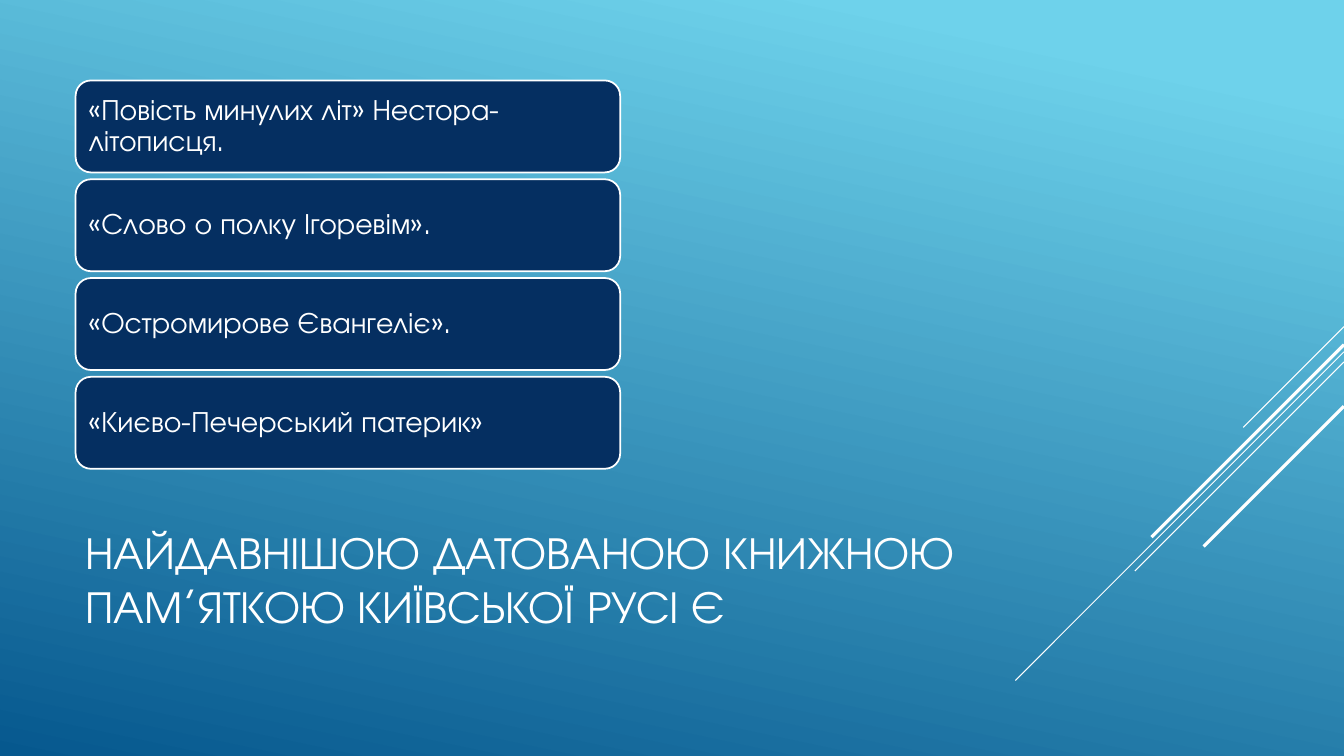
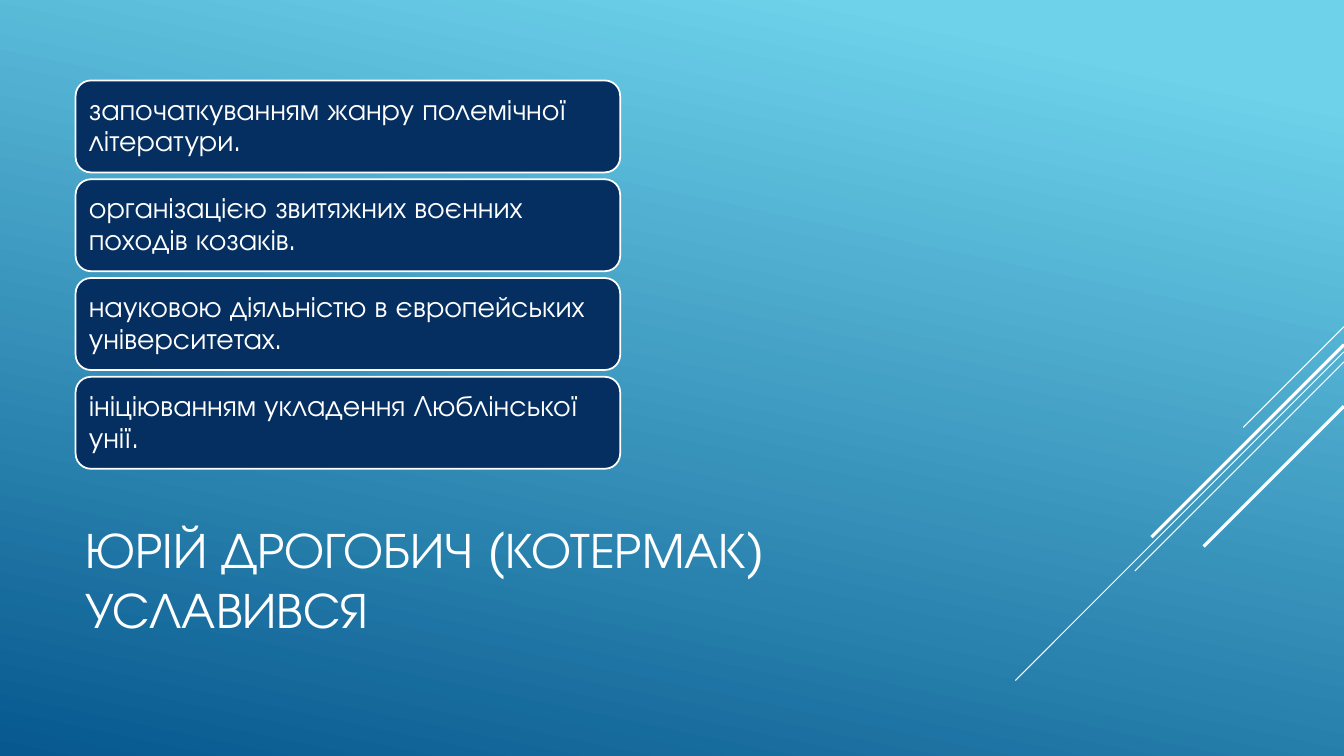
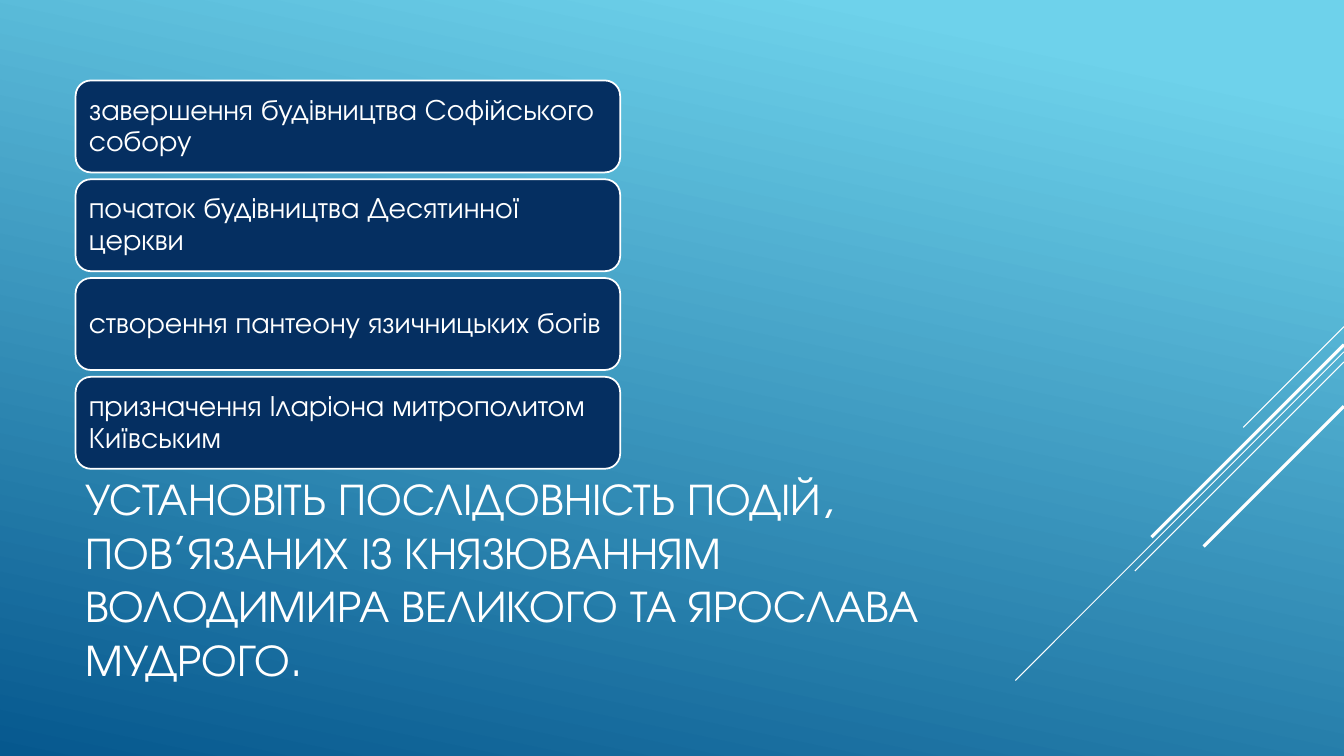
from dataclasses import dataclass

from lxml import etree
from pptx import Presentation
from pptx.dml.color import RGBColor
from pptx.enum.shapes import MSO_CONNECTOR, MSO_SHAPE
from pptx.enum.text import MSO_ANCHOR, PP_ALIGN
from pptx.oxml.ns import qn
from pptx.slide import Slide
from pptx.text.text import TextFrame
from pptx.util import Pt

STRAIGHT = MSO_CONNECTOR.STRAIGHT
ROUND = MSO_SHAPE.ROUNDED_RECTANGLE
MIDDLE = MSO_ANCHOR.MIDDLE
LEFT = PP_ALIGN.LEFT

COLORS = {"sky": "6ED2EB", "deep": "06588E", "navy": "052F61", "white": "FFFFFF"}
FONT = "TeX Gyre Adventor"
WIDTH, HEIGHT = 960, 540
MARGIN = 54


@dataclass
class Ray:
    top: float  # height at the right edge
    run: float  # distance covered leftwards and downwards
    weight: float


@dataclass
class Quiz:
    title: str
    size: float
    options: list[str]


RAYS = [
    Ray(233.3, 72, 0.75),
    Ray(251.3, 234.7, 0.75),
    Ray(258.5, 149.4, 0.75),
    Ray(246.2, 137.5, 2.25),
    Ray(290.2, 100.2, 2.25),
]

QUIZZES = [
    Quiz("НАЙДАВНІШОЮ ДАТОВАНОЮ КНИЖНОЮ ПАМ’ЯТКОЮ КИЇВСЬКОЇ РУСІ Є", 32.4, [
        "«Повість минулих літ» Нестора-літописця.",
        "«Слово о полку Ігоревім».",
        "«Остромирове Євангеліє».",
        "«Києво-Печерський патерик»",
    ]),
    Quiz("ЮРІЙ ДРОГОБИЧ (КОТЕРМАК) УСЛАВИВСЯ", 36, [
        "започаткуванням жанру полемічної літератури.",
        "організацією звитяжних воєнних походів козаків.",
        "науковою діяльністю в європейських університетах.",
        "ініціюванням укладення Люблінської унії.",
    ]),
    Quiz("УСТАНОВІТЬ ПОСЛІДОВНІСТЬ ПОДІЙ, ПОВ’ЯЗАНИХ ІЗ КНЯЗЮВАННЯМ "
         "ВОЛОДИМИРА ВЕЛИКОГО ТА ЯРОСЛАВА МУДРОГО.", 32, [
             "завершення будівництва Софійського собору",
             "початок будівництва Десятинної церкви",
             "створення пантеону язичницьких богів",
             "призначення Іларіона митрополитом Київським",
         ]),
]


def color(name: str) -> RGBColor:
    return RGBColor.from_string(COLORS[name])


def write(frame: TextFrame, text: str, size: float, spacing: float) -> None:
    frame.word_wrap = True
    frame.vertical_anchor = MIDDLE
    frame.text = text
    para = frame.paragraphs[0]
    para.alignment = LEFT
    para.line_spacing = spacing
    font = para.runs[0].font
    font.name, font.size = FONT, Pt(size)
    font.color.rgb = color("white")


# Shared backdrop
def draw_back(slide: Slide) -> None:
    fill = slide.background.fill
    fill.gradient()
    fill.gradient_angle = 360 - 102
    for stop, name, place in zip(fill.gradient_stops, ("sky", "deep"), (0.1, 1)):
        stop.color.rgb = color(name)
        stop.position = place


def draw_ray(slide: Slide, ray: Ray) -> None:
    line = slide.shapes.add_connector(
        STRAIGHT, Pt(WIDTH), Pt(ray.top), Pt(WIDTH - ray.run), Pt(ray.top + ray.run))
    line.line.color.rgb = color("white")
    line.line.width = Pt(ray.weight)
    etree.SubElement(line.element.spPr, qn("a:effectLst"))


# Title and answer cards
def draw_title(slide: Slide, text: str, size: float) -> None:
    box = slide.shapes.add_textbox(Pt(MARGIN), Pt(353.5), Pt(672), Pt(119))
    write(box.text_frame, text, size, 1)


def draw_card(slide: Slide, text: str, row: int) -> None:
    top, pitch = 57.5, 70.56
    card = slide.shapes.add_shape(
        ROUND, Pt(MARGIN), Pt(top + row * pitch), Pt(389), Pt(65.7))
    card.shadow.inherit = False
    card.fill.solid()
    card.fill.fore_color.rgb = color("navy")
    card.line.color.rgb = color("white")
    card.line.width = Pt(1.25)
    frame = card.text_frame
    # The rounded corners add a little to the left and right insets
    frame.margin_left = frame.margin_right = Pt(6.3)
    frame.margin_top = frame.margin_bottom = Pt(6.3)
    write(frame, text, 21, 0.9)


def main() -> None:
    deck = Presentation()
    deck.slide_width, deck.slide_height = Pt(WIDTH), Pt(HEIGHT)
    blank = deck.slide_layouts[6]
    for quiz in QUIZZES:
        slide = deck.slides.add_slide(blank)
        draw_back(slide)
        for ray in RAYS:
            draw_ray(slide, ray)
        draw_title(slide, quiz.title, quiz.size)
        for row, text in enumerate(quiz.options):
            draw_card(slide, text, row)
    deck.save("out.pptx")


if __name__ == "__main__":
    main()
